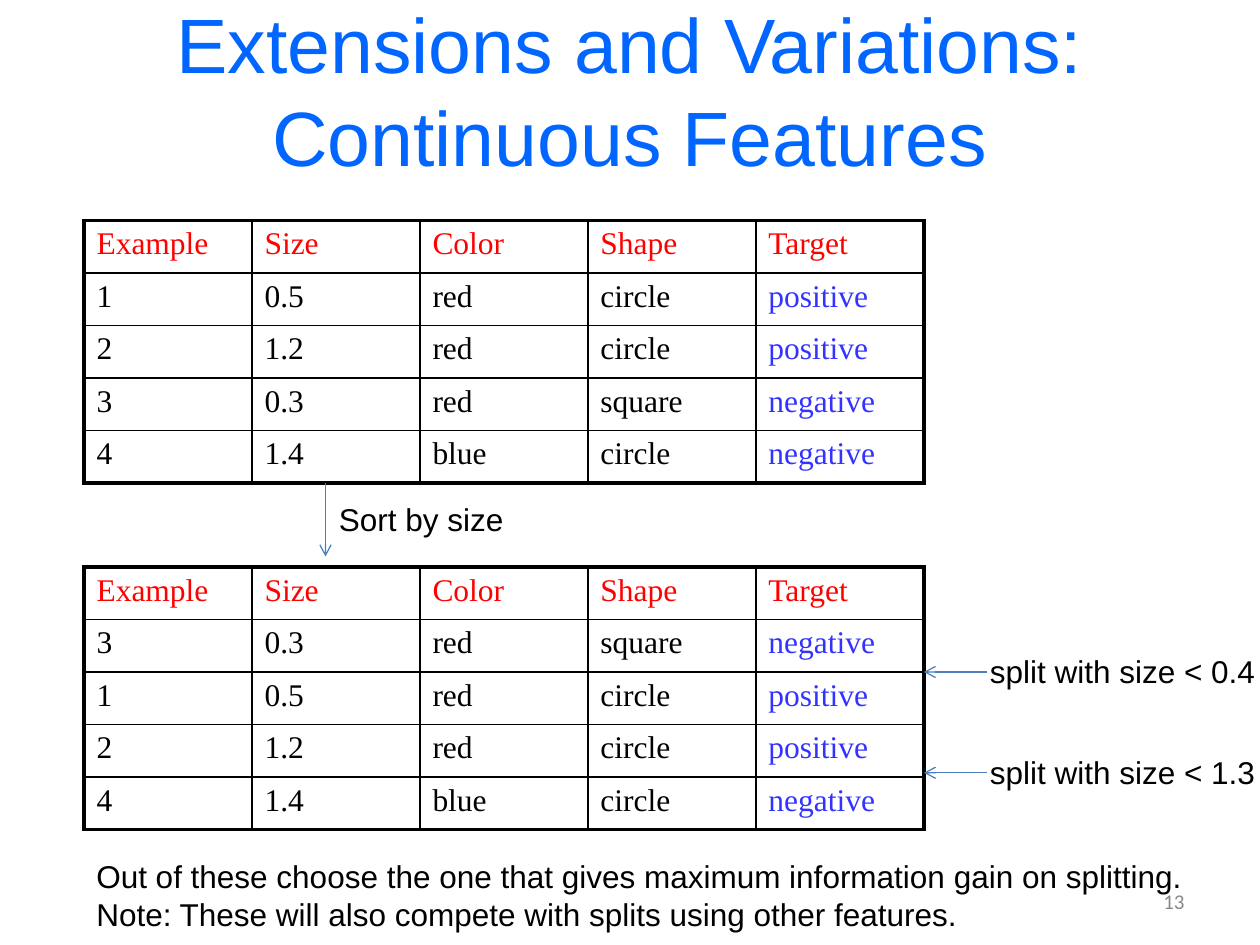
from lxml import etree
from pptx import Presentation, util as u
from pptx.dml.color import RGBColor
from pptx.enum import shapes, text
from pptx.oxml.ns import qn

BLACK = RGBColor(0x00, 0x00, 0x00)
RED = RGBColor(0xFF, 0x00, 0x00)
TITLE_BLUE = RGBColor(0x00, 0x66, 0xFF)
TARGET_BLUE = RGBColor(0x33, 0x33, 0xFF)
ARROW_BLUE = RGBColor(0x4B, 0x7E, 0xBC)
GREY = RGBColor(0x89, 0x89, 0x89)

COLS, ROWS = 120, 90  # slide grid, twelve units to the inch
UNIT = u.Inches(10) / COLS
COL_W, ROW_H = 16, 5  # table cell, in grid units

HEADER = ("Example", "Size", "Color", "Shape", "Target")
EXAMPLES = [
    ("1", "0.5", "red", "circle", "positive"),
    ("2", "1.2", "red", "circle", "positive"),
    ("3", "0.3", "red", "square", "negative"),
    ("4", "1.4", "blue", "circle", "negative"),
]


def grid(*units):
    return [u.Emu(round(n * UNIT)) for n in units]


def set_font(font, color, size=18, name="Arial"):
    for key, value in {"name": name, "size": u.Pt(size), "bold": False}.items():
        setattr(font, key, value)
    font.color.rgb = color


def add_text(s, box, lines, color=BLACK, size=18, name="Arial", align=None, **frame):
    tf = s.shapes.add_textbox(*grid(*box)).text_frame
    for key, value in frame.items():
        setattr(tf, key, value)
    for i, line in enumerate(lines):
        p = tf.paragraphs[0] if i == 0 else tf.add_paragraph()
        p.alignment = align
        r = p.add_run()
        r.text = line
        set_font(r.font, color, size, name)


def add_arrow(s, start, end):
    line = s.shapes.add_connector(shapes.MSO_CONNECTOR.STRAIGHT, *grid(*start, *end))
    line.line.color.rgb = ARROW_BLUE
    line.line.width = u.Pt(0.75)
    ln = line.line._get_or_add_ln()
    etree.SubElement(ln, qn("a:tailEnd"), type="arrow")
    etree.SubElement(ln.getparent(), qn("a:effectLst"))


def set_borders(cell, widths):
    tc_pr = cell._tc.get_or_add_tcPr()
    for side, width in widths.items():
        ln = etree.SubElement(tc_pr, qn(f"a:ln{side}"), w=str(u.Pt(width)))
        fill = etree.SubElement(ln, qn("a:solidFill"))
        etree.SubElement(fill, qn("a:srgbClr"), val=str(BLACK))


def add_examples(s, left, top, examples):
    """Place a table of examples under the header row, with a thick outer frame."""
    rows = [HEADER, *examples]
    n_rows, n_cols = len(rows), len(HEADER)
    box = grid(left, top, n_cols * COL_W, n_rows * ROW_H)
    table = s.shapes.add_table(n_rows, n_cols, *box).table
    table.first_row = table.horz_banding = False
    for i, row in enumerate(rows):
        table.rows[i].height = grid(ROW_H)[0]
        for j, value in enumerate(row):
            cell = table.cell(i, j)
            edges = {"L": j == 0, "R": j == n_cols - 1,
                     "T": i == 0, "B": i == n_rows - 1}
            set_borders(cell, {k: 2.25 if outer else 1 for k, outer in edges.items()})
            cell.fill.background()
            r = cell.text_frame.paragraphs[0].add_run()
            r.text = value
            color = RED if i == 0 else TARGET_BLUE if j == n_cols - 1 else BLACK
            set_font(r.font, color, name="Times New Roman")


def add_sort_step(s, left, top):
    add_arrow(s, (left, top), (left, top + 7))
    add_text(s, (left + 0.1, top + 1, 18.2, 4.8), ["Sort by size"], word_wrap=False)


def add_split(s, left, y, label):
    add_arrow(s, (left + 6, y), (left, y))
    add_text(s, (left + 5.1, y - 2.5, 28, 4.8), [label], word_wrap=False)


def main():
    prs = Presentation()
    prs.slide_width, prs.slide_height = grid(COLS, ROWS)
    s = prs.slides.add_slide(prs.slide_layouts[6])
    middle = text.MSO_ANCHOR.MIDDLE

    add_text(s, (6, 1, 108, 15), ["Extensions and Variations: Continuous Features"],
             TITLE_BLUE, 44, align=text.PP_ALIGN.CENTER,
             word_wrap=True, vertical_anchor=middle)
    add_text(s, (86, 83.4, 28, 4.8), ["13"], GREY, 12, "Calibri",
             text.PP_ALIGN.RIGHT, word_wrap=True, vertical_anchor=middle)

    add_examples(s, 8, 21, EXAMPLES)
    add_sort_step(s, 31, 46)
    add_examples(s, 8, 54, sorted(EXAMPLES, key=lambda row: float(row[1])))
    add_split(s, 88, 64, "split with size < 0.4")
    add_split(s, 88, 73.6, "split with size < 1.3")

    add_text(s, (8, 81, 106.8, 8.5), [
        "Out of these choose the one that gives maximum information gain on splitting.",
        "Note: These will also compete with splits using other features.",
    ], word_wrap=False)
    prs.save("out.pptx")


if __name__ == "__main__":
    main()
